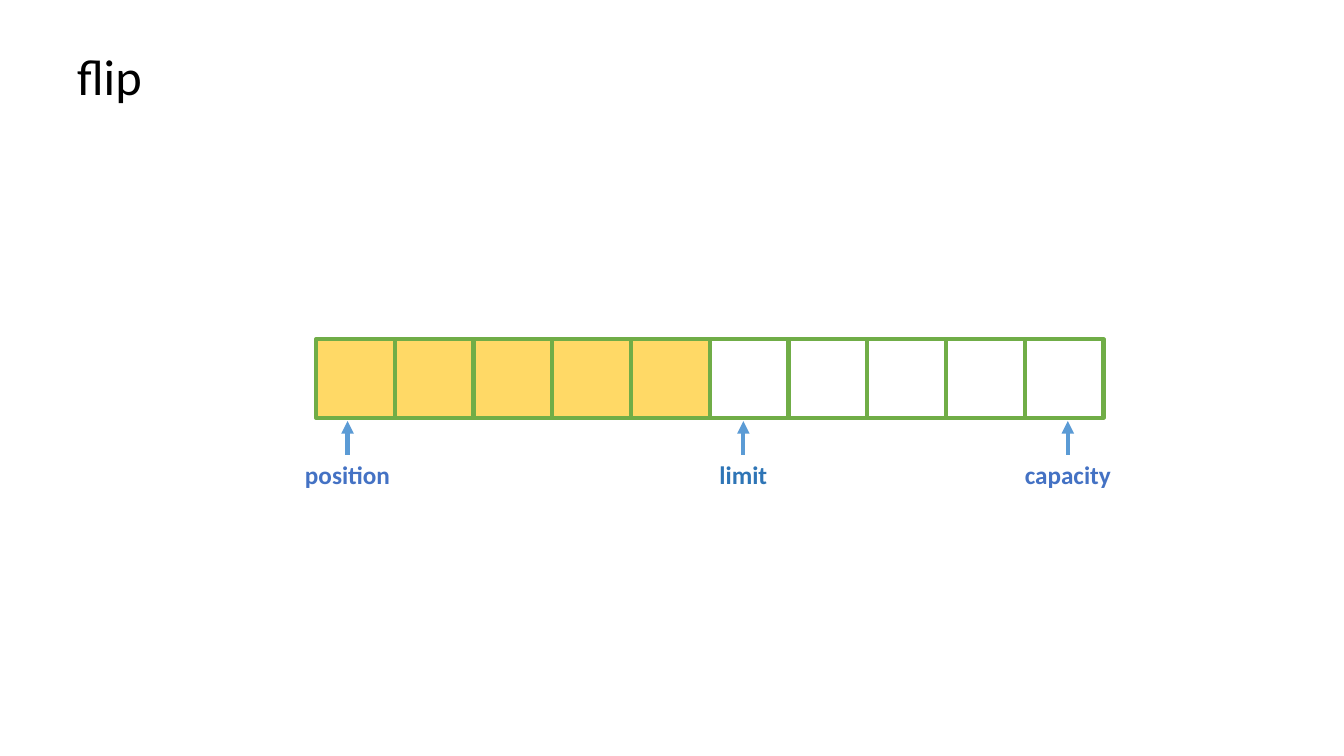
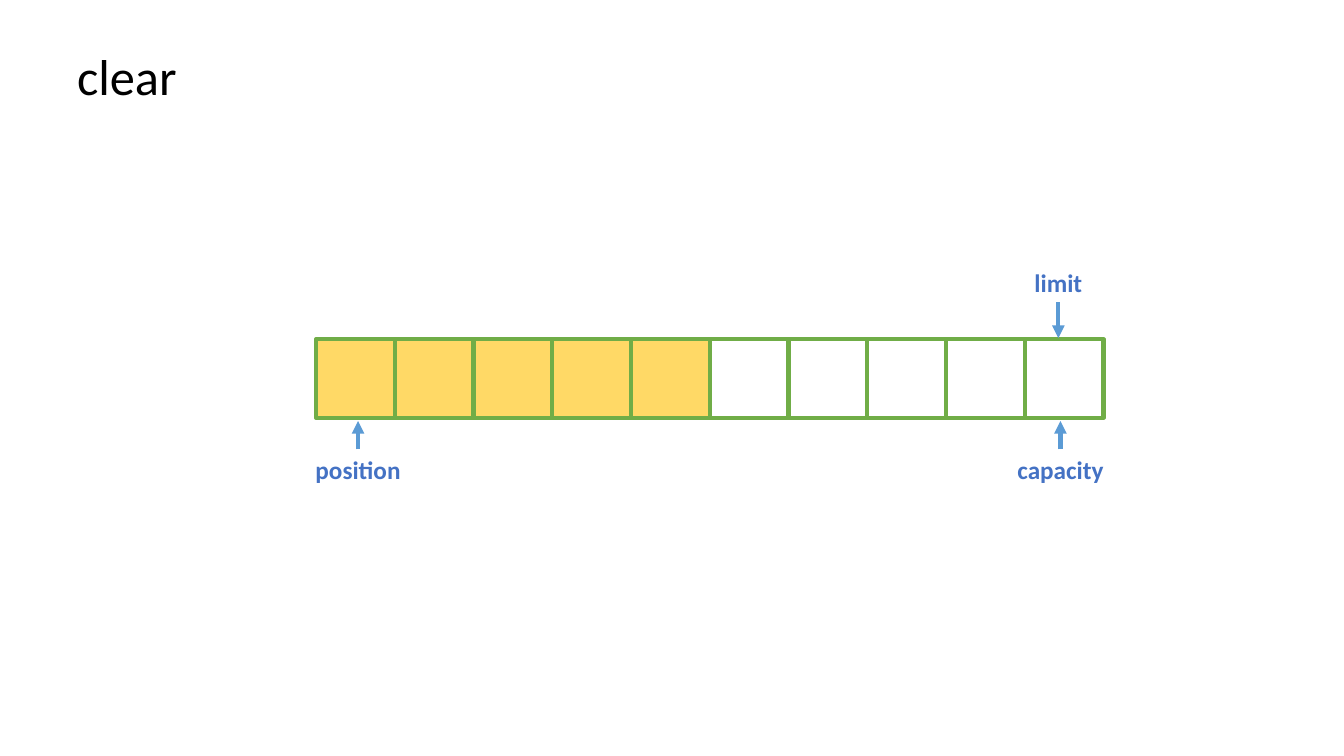
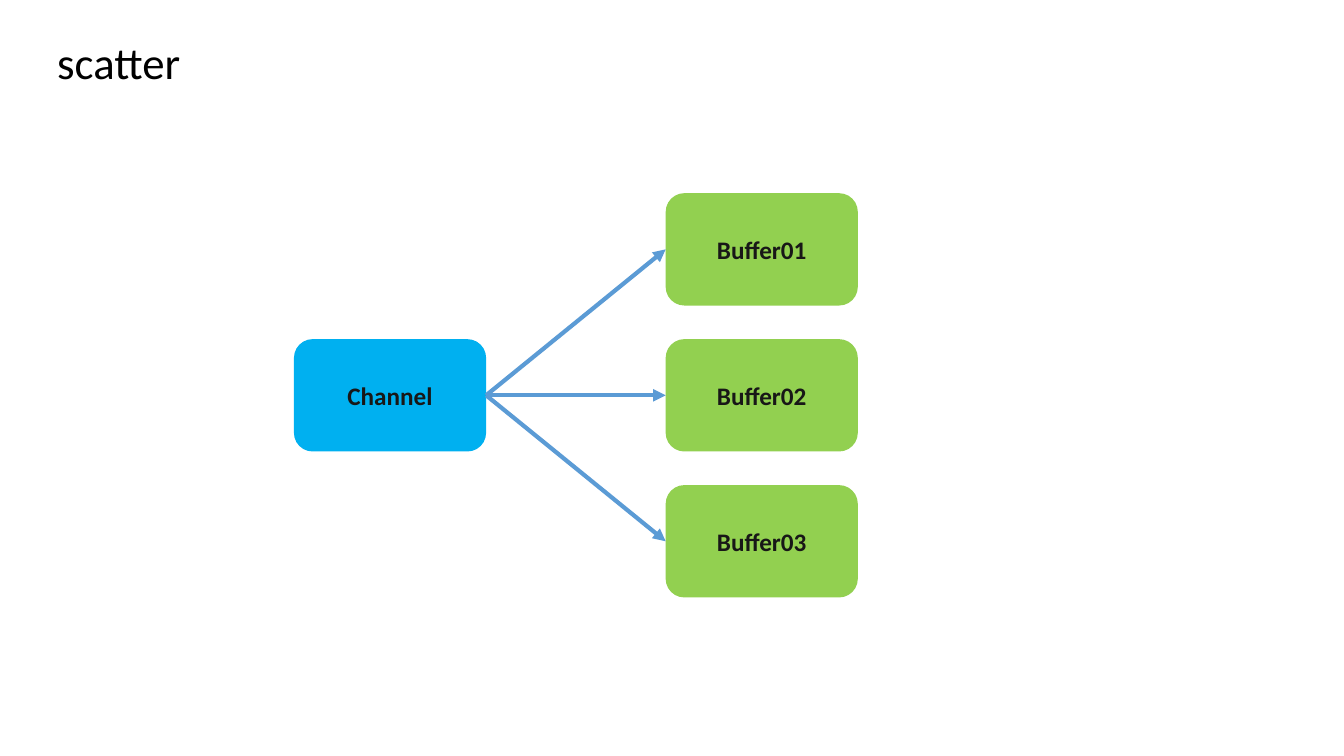
from lxml import etree
from pptx import Presentation
from pptx.dml.color import RGBColor
from pptx.enum.shapes import MSO_CONNECTOR, MSO_SHAPE
from pptx.enum.text import MSO_ANCHOR, PP_ALIGN
from pptx.oxml.ns import qn
from pptx.util import Emu, Pt

RECT, ROUNDED = MSO_SHAPE.RECTANGLE, MSO_SHAPE.ROUNDED_RECTANGLE
STRAIGHT = MSO_CONNECTOR.STRAIGHT
LEFT, CENTER = PP_ALIGN.LEFT, PP_ALIGN.CENTER
TOP, MIDDLE = MSO_ANCHOR.TOP, MSO_ANCHOR.MIDDLE
LEFT_SIDE, RIGHT_SIDE = 1, 3

# Shared look
EMU_PER_PX = 9525
FONT = "Calibri"
BLACK, WHITE, INK = "000000", "FFFFFF", "181717"
GOLD, GREEN, ARROW_BLUE = "FFD966", "70AD47", "5B9BD5"
LABEL_BLUE, DARK_BLUE = "4472C4", "2E75B6"
SKY, LIME = "00B0F0", "92D050"
LINE_WIDTH = 3

# Memory strip and its markers
CELL, CELL_COUNT, FILLED_COUNT = 75, 10, 5
STRIP_LEFT, STRIP_TOP = 301, 323
TIP_BELOW, TIP_ABOVE = 401, 322
LABEL_WIDTH, LABEL_HEIGHT = 115, 38

# Scatter diagram
NODE_WIDTH, NODE_HEIGHT = 183, 107
CHANNEL_LEFT, BUFFER_LEFT = 280, 634
BUFFER_TOP, BUFFER_STEP = 184, 139


def px(value):
    return Emu(round(value * EMU_PER_PX))


def color(hex_text):
    return RGBColor.from_string(hex_text)


def write(shape, text, size=18, ink=LABEL_BLUE, bold=True, align=CENTER, anchor=TOP):
    frame = shape.text_frame
    frame.word_wrap = True
    frame.vertical_anchor = anchor
    para = frame.paragraphs[0]
    para.alignment = align
    span = para.add_run()
    span.text = text
    span.font.name = FONT
    span.font.size = Pt(size)
    span.font.bold = bold
    span.font.color.rgb = color(ink)


def add_text(page, text, left, top, width, height, **text_format):
    box = page.shapes.add_textbox(px(left), px(top), px(width), px(height))
    write(box, text, **text_format)


def add_title(page, text, left=64, top=38, size=36):
    add_text(page, text, left, top, 201, 68, size=size, ink=BLACK, bold=False, align=LEFT)


def add_box(page, kind, left, top, width, height, fill, outline=None):
    box = page.shapes.add_shape(kind, px(left), px(top), px(width), px(height))
    box.shadow.inherit = False
    box.fill.solid()
    box.fill.fore_color.rgb = color(fill)
    if outline:
        box.line.color.rgb = color(outline)
        box.line.width = Pt(LINE_WIDTH)
    else:
        box.line.fill.background()
    return box


def add_arrow(page, x1=0, y1=0, x2=0, y2=0):
    arrow = page.shapes.add_connector(STRAIGHT, px(x1), px(y1), px(x2), px(y2))
    arrow.line.color.rgb = color(ARROW_BLUE)
    arrow.line.width = Pt(LINE_WIDTH)
    etree.SubElement(arrow.line._get_or_add_ln(), qn("a:tailEnd"), type="triangle")
    etree.SubElement(arrow._element.spPr, qn("a:effectLst"))
    return arrow


def add_strip(page):
    for index in range(CELL_COUNT):
        fill = GOLD if index < FILLED_COUNT else WHITE
        add_box(page, RECT, STRIP_LEFT + index * CELL, STRIP_TOP, CELL, CELL, fill, GREEN)


def add_marker(page, text, x, start, ink=LABEL_BLUE):
    """Label with an arrow that points at the strip from above or below."""
    above = start < STRIP_TOP
    add_arrow(page, x, start, x, TIP_ABOVE if above else TIP_BELOW)
    label_top = start - LABEL_HEIGHT if above else start
    add_text(page, text, x - LABEL_WIDTH / 2, label_top, LABEL_WIDTH, LABEL_HEIGHT, ink=ink)


def add_node(page, text, left, top, fill):
    node = add_box(page, ROUNDED, left, top, NODE_WIDTH, NODE_HEIGHT, fill)
    write(node, text, ink=INK, anchor=MIDDLE)
    return node


def build_flip(page):
    add_title(page, "flip")
    add_strip(page)
    add_marker(page, "capacity", 1017, 433)
    add_marker(page, "position", 331, 433)
    add_marker(page, "limit", 708, 433, ink=DARK_BLUE)


def build_clear(page):
    add_title(page, "clear")
    add_strip(page)
    add_marker(page, "capacity", 1010, 428)
    add_marker(page, "position", 341, 428)
    add_marker(page, "limit", 1008, 288)


def build_scatter(page):
    add_title(page, "scatter", left=45, top=28, size=32)
    channel = add_node(page, "Channel", CHANNEL_LEFT, BUFFER_TOP + BUFFER_STEP, SKY)
    for index in range(3):
        top = BUFFER_TOP + index * BUFFER_STEP
        buffer = add_node(page, f"Buffer{index + 1:02}", BUFFER_LEFT, top, LIME)
        arrow = add_arrow(page)
        arrow.begin_connect(channel, RIGHT_SIDE)
        arrow.end_connect(buffer, LEFT_SIDE)


def main():
    deck = Presentation()
    deck.slide_width, deck.slide_height = px(1280), px(720)
    blank = deck.slide_layouts[6]
    for build in (build_flip, build_clear, build_scatter):
        build(deck.slides.add_slide(blank))
    deck.save("out.pptx")


if __name__ == "__main__":
    main()
